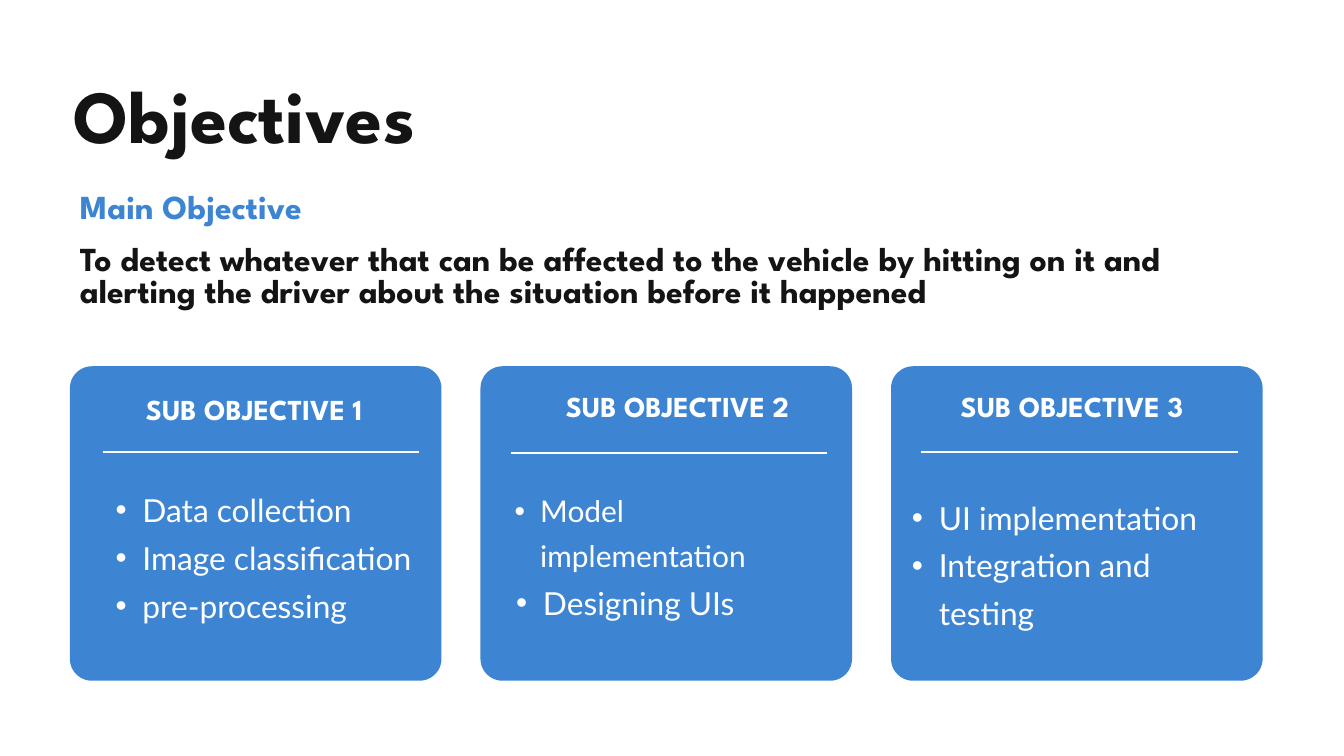
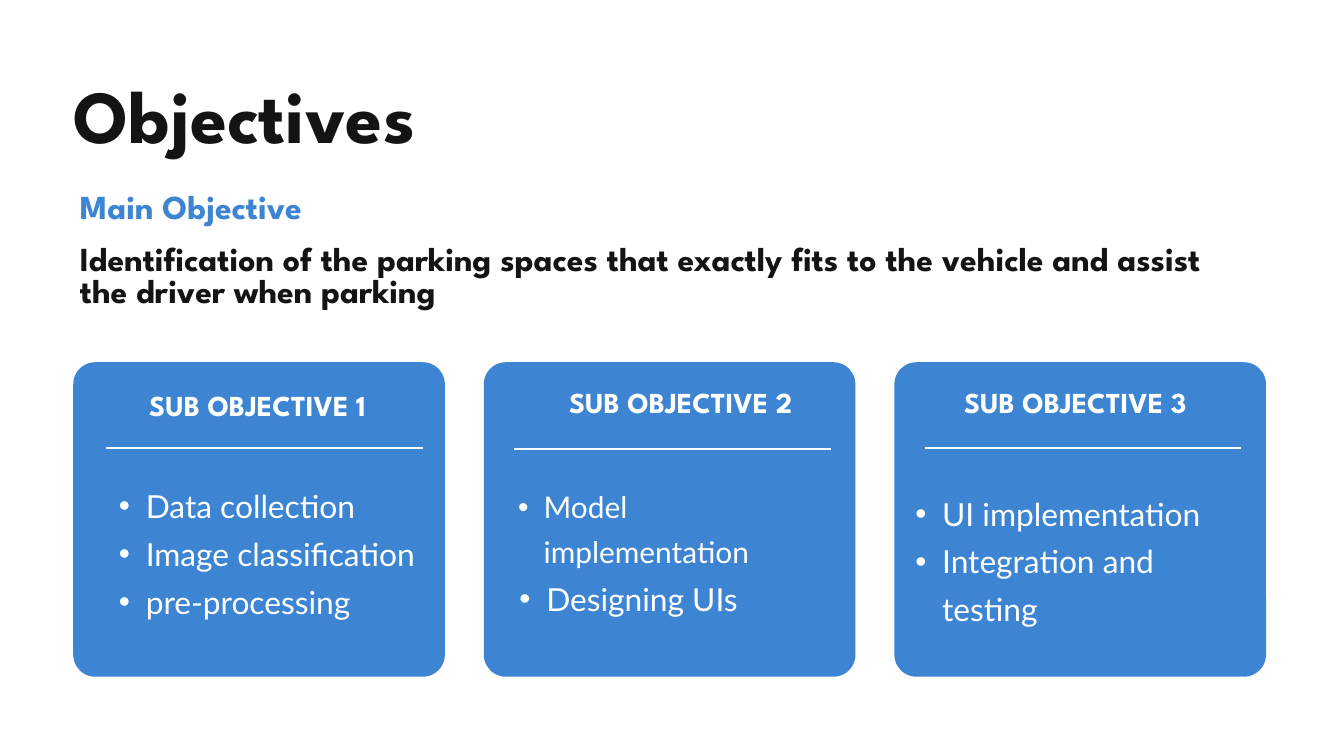
from dataclasses import dataclass

from lxml import etree
from pptx import Presentation
from pptx import util as u
from pptx.dml.color import RGBColor
from pptx.enum import shapes, text
from pptx.oxml.ns import qn

# Shared look: lengths are px, 100 to the inch
PX = 9144
SLIDE_WIDTH, SLIDE_HEIGHT = 2000, 1125
COLORS = {"ink": "141414", "accent": "3D85D3", "white": "FFFFFF"}
CARD_WIDTH, CARD_HEIGHT, CARD_PITCH = 553, 468, 611
CARD_CORNER = 0.07
RULE_LENGTH = 471


@dataclass(frozen=True)
class TextStyle:
    font: str
    size: int
    color: str
    leading: float
    bold: bool = False
    centered: bool = False
    indent: int = 0  # hanging indent of a bullet


@dataclass(frozen=True)
class Line:
    words: str
    style: TextStyle


@dataclass(frozen=True)
class Card:
    """One sub objective; offsets are (x, y) from the card's corner."""
    heading: str
    heading_offset: tuple[int, int]
    rule_offset: tuple[int, int]
    tasks: tuple[Line, ...]
    tasks_offset: tuple[int, int]
    tasks_size: tuple[int, int]


@dataclass(frozen=True)
class Objective:
    statement: str
    cards_left: int
    cards_top: int


TITLE = TextStyle("League Spartan", 80, "ink", 76, bold=True)
LABEL = TextStyle("League Spartan", 36, "accent", 34.2, bold=True)
STATEMENT = TextStyle("League Spartan", 36, "ink", 34.2, bold=True)
HEADING = TextStyle("League Spartan", 31, "white", 29.4, bold=True, centered=True)
TASK = TextStyle("Lato", 34, "white", 51.3, indent=40)
SMALL_TASK = TextStyle("Lato", 32, "white", 48.3, indent=38)

CARDS = (
    Card("SUB OBJECTIVE 1", (66, 48), (49, 128),
         (Line("Data collection", TASK), Line("Image classification", TASK),
          Line("pre-processing", TASK)), (28, 171), (507, 208)),
    Card("SUB OBJECTIVE 2", (85, 44), (45, 129),
         (Line("Model implementation", SMALL_TASK), Line("Designing UIs", TASK)),
         (13, 175), (507, 134)),
    Card("SUB OBJECTIVE 3", (61, 44), (45, 128),
         (Line("UI implementation", TASK), Line("Integration and testing", TASK)),
         (-9, 182), (545, 137)),
)

OBJECTIVES = (
    Objective("To detect whatever that can be affected to the vehicle by hitting on it "
              "and alerting the driver about the situation before it happened", 104, 545),
    Objective("Identification of the parking spaces that exactly fits to the vehicle "
              "and assist the driver when parking", 109, 539),
)


def px(length: int) -> u.Emu:
    return u.Emu(length * PX)


def color(name: str) -> RGBColor:
    return RGBColor.from_string(COLORS[name])


def add_bullet(paragraph, indent: int) -> None:
    paragraph.level = 1
    properties = paragraph._p.get_or_add_pPr()
    properties.set("marL", str(px(2 * indent)))
    properties.set("indent", str(px(-indent)))
    etree.SubElement(properties, qn("a:buFont")).set("typeface", "Arial")
    etree.SubElement(properties, qn("a:buChar")).set("char", "•")


def add_text(slide, left: int, top: int, width: int, height: int, *lines: Line) -> None:
    box = slide.shapes.add_textbox(px(left), px(top), px(width), px(height))
    frame = box.text_frame
    frame.margin_left = frame.margin_right = frame.margin_top = frame.margin_bottom = 0
    frame.word_wrap = True
    frame.auto_size = text.MSO_AUTO_SIZE.SHAPE_TO_FIT_TEXT
    frame.text = "\n".join(line.words for line in lines)
    for paragraph, line in zip(frame.paragraphs, lines):
        style = line.style
        if style.indent:
            add_bullet(paragraph, style.indent)
        paragraph.line_spacing = u.Pt(style.leading)
        paragraph.alignment = text.PP_ALIGN.CENTER if style.centered else text.PP_ALIGN.LEFT
        for run in paragraph.runs:
            run.font.name = style.font
            run.font.size = u.Pt(style.size)
            run.font.bold = style.bold
            run.font.color.rgb = color(style.color)


def add_rule(slide, left: int, top: int) -> None:
    rule = slide.shapes.add_connector(
        shapes.MSO_CONNECTOR.STRAIGHT, px(left), px(top), px(left + RULE_LENGTH), px(top))
    rule.line.color.rgb = color("white")
    rule.line.width = u.Pt(2.25)
    etree.SubElement(rule._element.spPr, qn("a:effectLst"))


def add_card(slide, card: Card, left: int, top: int) -> None:
    panel = slide.shapes.add_shape(
        shapes.MSO_SHAPE.ROUNDED_RECTANGLE, px(left), px(top), px(CARD_WIDTH), px(CARD_HEIGHT))
    panel.adjustments[0] = CARD_CORNER
    panel.shadow.inherit = False
    panel.fill.solid()
    panel.fill.fore_color.rgb = color("accent")
    panel.line.fill.background()

    x, y = card.heading_offset
    add_text(slide, left + x, top + y, 416, 44, Line(card.heading, HEADING))
    x, y = card.rule_offset
    add_rule(slide, left + x, top + y)
    x, y = card.tasks_offset
    add_text(slide, left + x, top + y, *card.tasks_size, *card.tasks)


def add_objective_slide(deck, objective: Objective) -> None:
    slide = deck.slides.add_slide(deck.slide_layouts[6])
    # Title and main objective
    add_text(slide, 109, 130, 1392, 113, Line("Objectives", TITLE))
    add_text(slide, 119, 289, 1181, 50, Line("Main Objective", LABEL))
    add_text(slide, 119, 366, 1730, 97, Line(objective.statement, STATEMENT))
    # Row of sub objectives
    for column, card in enumerate(CARDS):
        add_card(slide, card, objective.cards_left + column * CARD_PITCH, objective.cards_top)


def main() -> None:
    deck = Presentation()
    deck.slide_width, deck.slide_height = px(SLIDE_WIDTH), px(SLIDE_HEIGHT)
    for objective in OBJECTIVES:
        add_objective_slide(deck, objective)
    deck.save("out.pptx")


if __name__ == "__main__":
    main()
